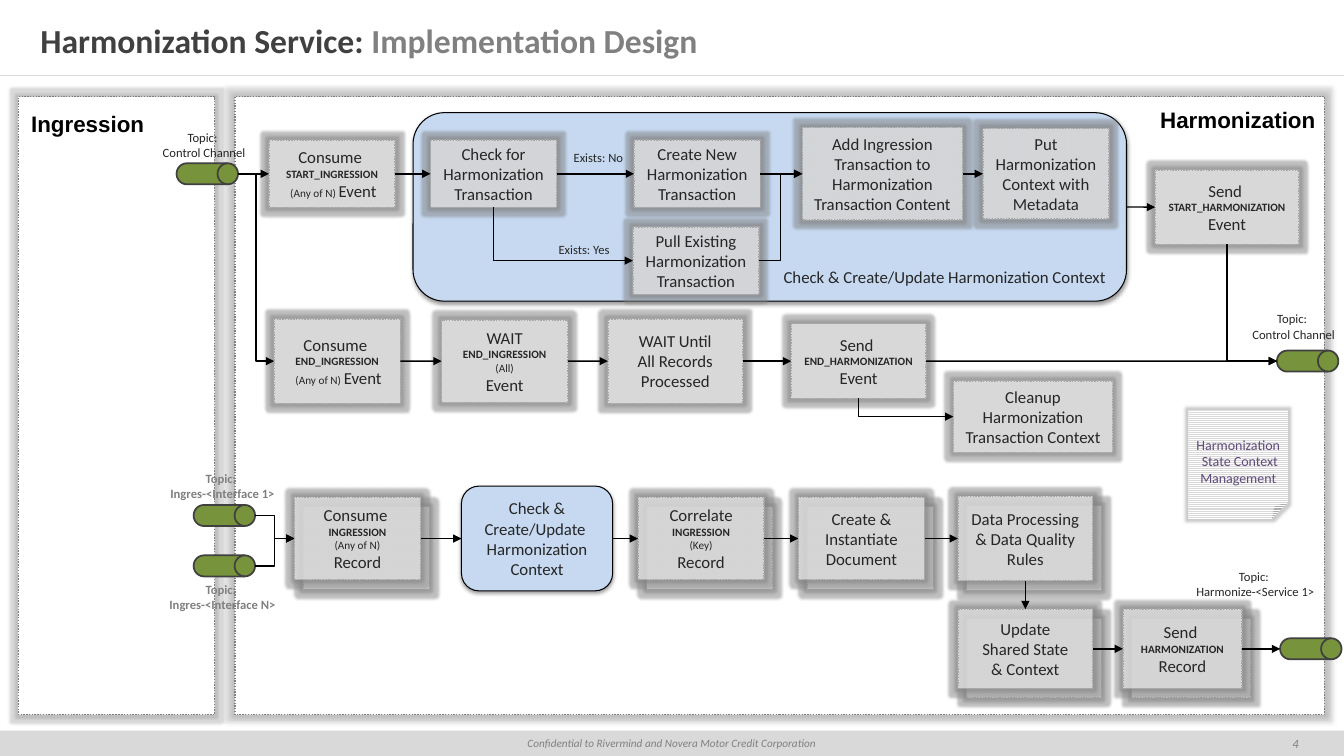
from lxml.etree import SubElement
from pptx import Presentation
from pptx.dml.color import RGBColor
from pptx.enum.dml import MSO_LINE, MSO_PATTERN
from pptx.enum.shapes import MSO_CONNECTOR, MSO_SHAPE
from pptx.enum.text import MSO_ANCHOR, PP_ALIGN
from pptx.oxml.ns import qn
from pptx.util import Cm, Pt

COLORS = {
    "black": "000000", "white": "FFFFFF", "text": "262626", "dark": "404040",
    "grey": "808080", "border": "A6A6A6", "light": "D9D9D9",
    "blue": "C6D9F1", "green": "77933C", "purple": "604A7B",
}
SLIDE_W, SLIDE_H = 33.87, 19.05
ROW_START, ROW_END, ROW_RECORD, ROW_SEND = 4.38, 9.1, 13.57, 16.35
STEP_W, DRUM_W, DRUM_H = 3.18, 1.55, 0.53
BR = None  # line break inside a paragraph
TOP, LEFT, BOTTOM, RIGHT = range(4)


def rgb(name):
    return RGBColor.from_string(COLORS[name])


def name(text):
    return text, 8, True


def note(text):
    return text, 8, False


# Text: a list of paragraphs, each a string or a list of runs
def write(s, paragraphs, size=12, color="text", bold=False, italic=False,
          font="Calibri", align=PP_ALIGN.CENTER, anchor=MSO_ANCHOR.MIDDLE, wrap=True):
    tf = s.text_frame
    tf.word_wrap = wrap
    tf.vertical_anchor = anchor
    for i, runs in enumerate(paragraphs):
        p = tf.add_paragraph() if i else tf.paragraphs[0]
        p.alignment = align
        for run in [runs] if isinstance(runs, str) else runs:
            if run is BR:
                p.add_line_break()
                continue
            text, run_size, run_bold = (run, size, bold) if isinstance(run, str) else run
            r = p.add_run()
            r.text = text
            r.font.name, r.font.size = font, Pt(run_size)
            r.font.bold, r.font.italic = run_bold, italic
            r.font.color.rgb = rgb(color)


def label(shapes, x, y, w, h, paragraphs, **style):
    s = shapes.add_textbox(Cm(x), Cm(y), Cm(w), Cm(h))
    write(s, paragraphs, **{"anchor": MSO_ANCHOR.TOP, **style})
    return s


def topic(shapes, x, y, w, channel, **style):
    label(shapes, x, y, w, 1.02, ["Topic: ", channel], size=9, **style)


# Shapes and their effects
def block(shapes, kind, x, y, w, h, fill, line=None, width=1):
    s = shapes.add_shape(kind, Cm(x), Cm(y), Cm(w), Cm(h))
    s.shadow.inherit = False
    s.fill.solid()
    s.fill.fore_color.rgb = rgb(fill)
    if line:
        s.line.color.rgb = rgb(line)
        s.line.width = Pt(width)
    else:
        s.line.fill.background()
    return s


def add_effect(s, tag, color, alpha, **attributes):
    effects = s.element.spPr.find(qn("a:effectLst"))
    effect = SubElement(effects, qn(tag), attributes)
    tint = SubElement(effect, qn("a:srgbClr"), val=COLORS[color])
    SubElement(tint, qn("a:alpha"), val=str(alpha * 1000))


def add_glow(s, alpha, radius):
    add_effect(s, "a:glow", "grey", alpha, rad=str(Pt(radius)))


def panel(shapes, x, w):
    s = block(shapes, MSO_SHAPE.RECTANGLE, x, 2.44, w, 15.57, "white", "grey")
    s.line.dash_style = MSO_LINE.ROUND_DOT
    add_glow(s, 30, 4)


def context_box(shapes, x, y, w, h):
    s = block(shapes, MSO_SHAPE.ROUNDED_RECTANGLE, x, y, w, h, "blue", "black", 0.75)
    add_effect(s, "a:outerShdw", "black", 38, blurRad="39370", dist="20320",
               dir="5400000", rotWithShape="0")
    return s


def step(shapes, x, middle, h, paragraphs, w=STEP_W):
    s = block(shapes, MSO_SHAPE.RECTANGLE, x, middle - h / 2, w, h, "white", "border")
    s.line.dash_style = MSO_LINE.ROUND_DOT
    fill_color = s.element.spPr.find(qn("a:solidFill")).find(qn("a:srgbClr"))
    SubElement(fill_color, qn("a:alpha"), val="60000")
    add_glow(s, 50, 4)
    write(s, paragraphs)
    return s


def stacked_step(shapes, x, middle, h, paragraphs, w=STEP_W):
    step(shapes, x + 0.22, middle + 0.24, h, [], w)
    return step(shapes, x, middle, h, paragraphs, w)


def drum(shapes, x, middle):
    return block(shapes, MSO_SHAPE.FLOWCHART_DIRECT_ACCESS_STORAGE, x, middle - DRUM_H / 2,
                 DRUM_W, DRUM_H, "green", "dark", 1.25)


# Arrows; a start without a side leaves from the drum's right end
def connect(shapes, kind, start, start_side, end, end_side):
    c = shapes.add_connector(kind, start.left + start.width, start.top + start.height // 2,
                             end.left, end.top + end.height // 2)
    if start_side is not None:
        c.begin_connect(start, start_side)
    c.end_connect(end, end_side)
    c.line.color.rgb = rgb("black")
    c.line.width = Pt(1)
    SubElement(c.element.spPr, qn("a:effectLst"))
    return c


def add_head(c, tag):
    SubElement(c.element.spPr.find(qn("a:ln")), qn(tag), type="triangle")


def arrow(shapes, start, end, start_side=RIGHT, end_side=LEFT, kind=MSO_CONNECTOR.STRAIGHT):
    add_head(connect(shapes, kind, start, start_side, end, end_side), "a:tailEnd")


def down_then_right(shapes, start, end):
    c = connect(shapes, MSO_CONNECTOR.ELBOW, end, LEFT, start, BOTTOM)
    c.element.spPr.find(qn("a:prstGeom")).set("prst", "bentConnector2")
    add_head(c, "a:headEnd")


def frame(shapes):
    footer = block(shapes, MSO_SHAPE.RECTANGLE, 0, 18.41, SLIDE_W, 0.64, "light")
    write(footer, ["Confidential to Rivermind and Novera Motor Credit Corporation"],
          size=8, color="grey", italic=True)
    rule = shapes.add_connector(MSO_CONNECTOR.STRAIGHT, 0, Cm(1.9), Cm(SLIDE_W), Cm(1.9))
    rule.line.color.rgb = rgb("light")
    rule.line.width = Pt(0.25)
    SubElement(rule.element.spPr, qn("a:effectLst"))
    label(shapes, 31.75, 18.41, 1.8, 0.64, ["4"], size=9, color="grey", italic=True,
          anchor=MSO_ANCHOR.MIDDLE)
    title = label(shapes, 0, 0.41, SLIDE_W, 1.22, [["Harmonization Service: ", "Implementation Design"]],
                  size=24, color="dark", bold=True, align=PP_ALIGN.LEFT, anchor=MSO_ANCHOR.MIDDLE)
    title.text_frame.margin_left = title.text_frame.margin_right = Cm(1.02)
    title.text_frame.paragraphs[0].runs[1].font.color.rgb = rgb("grey")
    panel(shapes, 5.92, 27.46)
    panel(shapes, 0.46, 4.95)
    heading = {"size": 16, "color": "black", "bold": True, "font": "Arial", "wrap": False}
    label(shapes, 28.96, 2.54, 4.47, 0.94, ["Harmonization"], **heading)
    label(shapes, 0.51, 2.64, 3.4, 0.94, ["Ingression"], **heading)


def control_flow(shapes):
    context = context_box(shapes, 10.41, 2.84, 17.98, 4.75)
    label(shapes, 19.35, 6.6, 8.92, 0.76, ["Check & Create/Update Harmonization Context"], wrap=False)
    source, target = drum(shapes, 4.45, ROW_START), drum(shapes, 32.18, ROW_END)
    topic(shapes, 3.78, 3.15, 2.72, "Control Channel")
    topic(shapes, 31.24, 7.72, 2.72, "Control Channel")

    # Start of ingression
    consume = step(shapes, 6.78, ROW_START, 1.7, [
        ["Consume ", BR, name("START_INGRESSION"), BR, note(" (Any of N) "), "Event"]])
    check = step(shapes, 10.85, ROW_START, 1.7, ["Check for Harmonization Transaction"])
    create = step(shapes, 15.98, ROW_START, 1.7, ["Create New Harmonization Transaction"])
    pull = step(shapes, 15.95, 6.57, 1.7, ["Pull Existing Harmonization Transaction"])
    add = step(shapes, 20.22, ROW_START, 2.34, [
        "Add Ingression", "Transaction to Harmonization Transaction Content"], 4.04)
    put = step(shapes, 24.77, ROW_START, 2.29, ["Put Harmonization", "Context with Metadata"])
    send_start = step(shapes, 29.11, 5.22, 1.88, [
        ["Send ", BR, name("START_HARMONIZATION")], "Event"], 3.63)
    arrow(shapes, source, consume, None)
    for start, end in [(consume, check), (check, create), (create, add), (add, put),
                       (context, send_start)]:
        arrow(shapes, start, end)
    arrow(shapes, pull, add, kind=MSO_CONNECTOR.ELBOW)
    down_then_right(shapes, check, pull)
    for x, y, answer in [(14.1, 3.66, "No"), (13.74, 5.97, "Yes")]:
        label(shapes, x, y, 1.96, 0.64, [f"Exists: {answer}"], size=9)

    # End of ingression
    consume_end = step(shapes, 6.91, ROW_END, 2.13, [
        ["Consume ", BR, name("END_INGRESSION"), BR, note(" (Any of N) "), "Event"]])
    wait = step(shapes, 11.13, ROW_END, 2.08, [
        "WAIT", [name("END_INGRESSION")], [note("(All)")], "Event"])
    wait_all = step(shapes, 15.32, ROW_END, 2.13, ["WAIT Until", "All Records", "Processed"], 3.4)
    send_end = step(shapes, 19.94, ROW_END, 1.88, [
        ["Send ", BR, name("END_HARMONIZATION")], "Event"], 3.4)
    cleanup = step(shapes, 24.03, 10.5, 1.8, ["Cleanup", "Harmonization", "Transaction Context"], 4.01)
    arrow(shapes, source, consume_end, None, kind=MSO_CONNECTOR.ELBOW)
    for start, end in [(consume_end, wait), (wait, wait_all), (wait_all, send_end), (send_end, target)]:
        arrow(shapes, start, end)
    down_then_right(shapes, send_end, cleanup)
    down_then_right(shapes, send_start, target)


def record_flow(shapes):
    sources = [drum(shapes, 4.88, y) for y in (12.99, 14.26)]
    target = drum(shapes, 32.26, ROW_SEND)

    context = context_box(shapes, 11.63, ROW_RECORD - 1.32, 3.81, 2.64)
    write(context, ["Check & Create/Update ", "Harmonization Context"])
    consume = stacked_step(shapes, 7.42, ROW_RECORD, 2.08, [
        ["Consume ", BR, name("INGRESSION")], [note("(Any of N)")], "Record"])
    correlate = stacked_step(shapes, 16.08, ROW_RECORD, 2.08, [
        "Correlate", [name("INGRESSION")], [note("(Key)")], "Record"])
    create = stacked_step(shapes, 20.12, ROW_RECORD, 2.08, ["Create & Instantiate", "Document"])
    process = stacked_step(shapes, 24.14, ROW_RECORD, 2.13, [
        "Data Processing", " & Data Quality ", "Rules"], 3.4)
    update = stacked_step(shapes, 24.14, ROW_SEND, 2, ["Update", "Shared State", "& Context"], 3.4)
    send = stacked_step(shapes, 28.3, ROW_SEND, 2, ["Send ", [name("HARMONIZATION")], "Record"], 3)
    for source in sources:
        arrow(shapes, source, consume, None, kind=MSO_CONNECTOR.ELBOW)
    for start, end in [(consume, context), (context, correlate), (correlate, create),
                       (create, process), (update, send), (send, target)]:
        arrow(shapes, start, end)
    arrow(shapes, process, update, BOTTOM, TOP)

    # Topic names, in front of the boxes
    for y, interface in [(11.73, "1"), (14.53, "N")]:
        topic(shapes, 3.28, y, 4.65, f"Ingres-<Interface {interface}>", color="grey", bold=True)
    topic(shapes, 29.31, 14.2, 4.65, "Harmonize-<Service 1>")


def state_note(shapes):
    s = block(shapes, MSO_SHAPE.FOLDED_CORNER, 29.95, 10.34, 2.51, 2.74, "white")
    s.fill.patterned()
    s.fill.pattern = MSO_PATTERN.NARROW_HORIZONTAL
    s.fill.fore_color.rgb, s.fill.back_color.rgb = rgb("light"), rgb("white")
    add_glow(s, 40, 4)
    write(s, ["Harmonization", " State Context Management"], size=10, color="purple")
    tf = s.text_frame
    tf.margin_left = tf.margin_right = tf.margin_bottom = 0
    tf.margin_top = Cm(0.25)


def main():
    prs = Presentation()
    prs.slide_width, prs.slide_height = Cm(SLIDE_W), Cm(SLIDE_H)
    shapes = prs.slides.add_slide(prs.slide_layouts[6]).shapes
    frame(shapes)
    control_flow(shapes)
    record_flow(shapes)
    state_note(shapes)
    prs.save("out.pptx")


if __name__ == "__main__":
    main()
